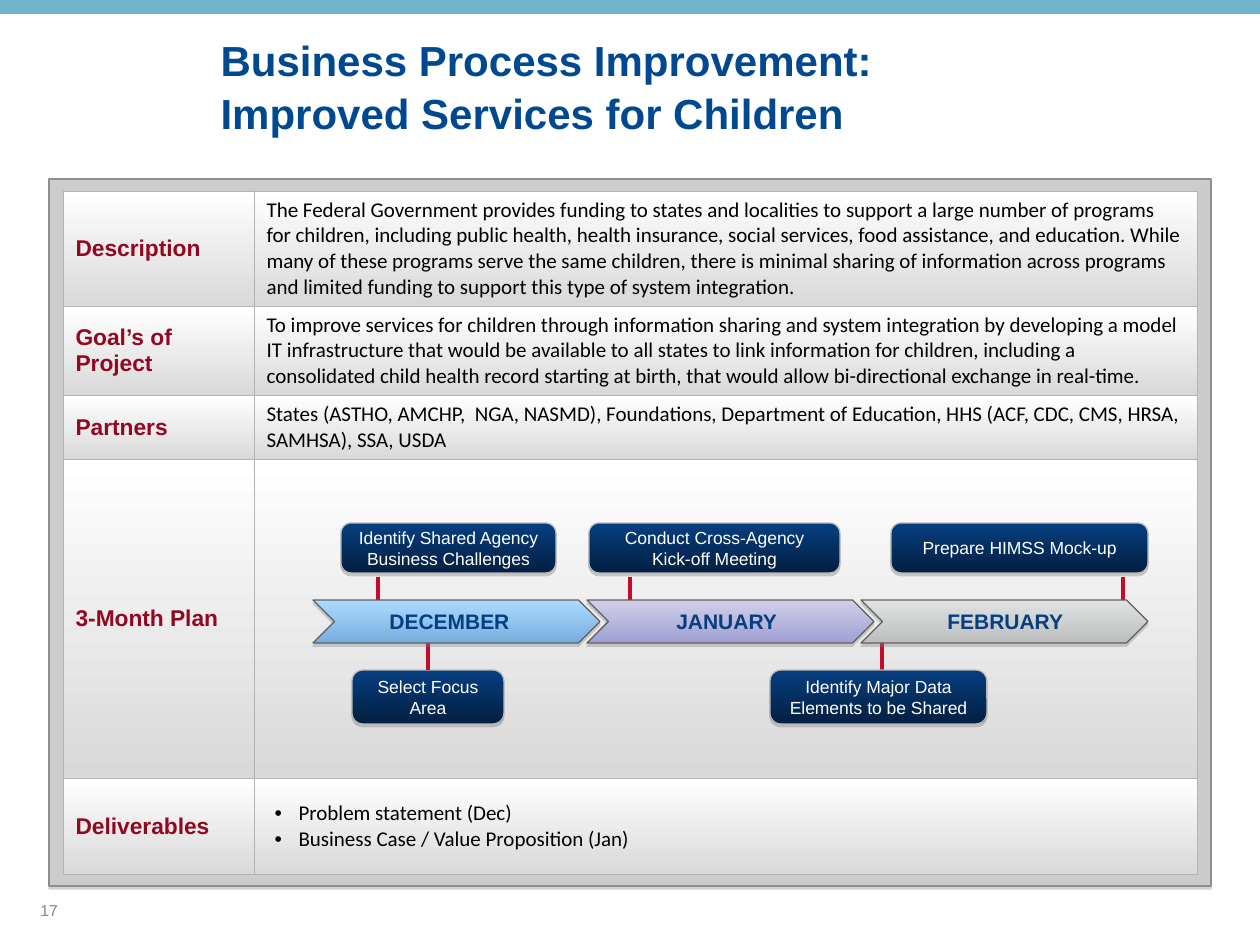
from lxml.etree import SubElement
from pptx import Presentation
from pptx.dml.color import RGBColor
from pptx.enum.shapes import MSO_CONNECTOR, MSO_SHAPE
from pptx.enum.text import MSO_ANCHOR, PP_ALIGN
from pptx.oxml.ns import qn
from pptx.util import Emu, Pt

COLORS = {
    "band": "6FB5CC", "panel": "CCCCCC", "panel_line": "8C8F8F",
    "title": "004990", "heading": "930821", "body": "000000",
    "cell_top": "FFFFFF", "cell_bottom": "D9D9D9", "border": "B3B3B3",
    "task_top": "063E80", "task_bottom": "031F40", "task_line": "B8BABA",
    "task_text": "FFFFFF", "link": "C40B2C", "month": "063E80",
    "arrow_line": "606060", "number": "898989", "shadow": "808080",
    "dec_top": "ABDAFF", "dec_bottom": "78AEDD",
    "jan_top": "D0CFE9", "jan_bottom": "A0A0D4",
    "feb_top": "E0E3E3", "feb_bottom": "BCBEBE",
}
ROWS = [
    ("Description", 114, [
        "The Federal Government provides funding to states and localities to support "
        "a large number of programs for children, including public health, health "
        "insurance, social services, food assistance, and education. While many of "
        "these programs serve the same children, there is minimal sharing of "
        "information across programs and limited funding to support this type of "
        "system integration."]),
    ("Goal’s of Project", 88, [
        "To improve services for children through information sharing and system "
        "integration by developing a model IT infrastructure that would be available "
        "to all states to link information for children, including a consolidated "
        "child health record starting at birth, that would allow bi-directional "
        "exchange in real-time."]),
    ("Partners", 64, [
        "States (ASTHO, AMCHP,  NGA, NASMD), Foundations, Department of Education, "
        "HHS (ACF, CDC, CMS, HRSA, SAMHSA), SSA, USDA"]),
    ("3-Month Plan", 319, []),
    ("Deliverables", 96, ["Problem statement (Dec)",
                          "Business Case / Value Proposition (Jan)"]),
]
UPPER_TASKS = [  # left, width, link x, lines
    (341, 215, 378, ["Identify Shared Agency Business Challenges"]),
    (589, 251, 630, ["Conduct Cross-Agency", "Kick-off Meeting"]),
    (891, 257, 1123, ["Prepare HIMSS Mock-up"]),
]
MONTHS = [("DECEMBER", "dec", 377), ("JANUARY", "jan", 664), ("FEBRUARY", "feb", 935)]
ARROW_TOP, ARROW_H, ARROW_W, ARROW_STEP = 600, 43, 287, 274
UPPER_TOP, UPPER_H, LOWER_TOP, LOWER_H = 523, 50, 670, 54


def px(n):
    return Emu(round(n * 914400 / 126))


def rgb(name):
    return RGBColor.from_string(COLORS[name])


def fill_gradient(fill, name):
    """Fill from the colour name_top down to name_bottom."""
    fill.gradient()
    fill.gradient_angle = 270
    for stop, end in zip(fill.gradient_stops, ("top", "bottom")):
        stop.color.rgb = rgb(f"{name}_{end}")


def add_text(p, lines, size, color, font="Arial", bold=False):
    for i, line in enumerate(lines):
        if i:
            p.add_line_break()
        r = p.add_run()
        r.text = line
        r.font.name, r.font.size, r.font.bold = font, Pt(size), bold
        r.font.color.rgb = rgb(color)


def add_shadow(sp, alpha, distance):
    effects = sp.element.spPr.find(qn("a:effectLst"))
    shadow = SubElement(effects, qn("a:outerShdw"), blurRad="0",
                        dist=str(Pt(distance)), dir="5400000", rotWithShape="0")
    color = SubElement(shadow, qn("a:srgbClr"), val=COLORS["shadow"])
    SubElement(color, qn("a:alpha"), val=str(alpha * 1000))


def add_box(s, kind, x, y, w, h, line=None):
    sp = s.shapes.add_shape(kind, px(x), px(y), px(w), px(h))
    sp.shadow.inherit = False
    if line:
        sp.line.color.rgb = rgb(line)
        sp.line.width = Pt(0.75)
    else:
        sp.line.fill.background()
    return sp


def add_rect(s, x, y, w, h, color, line=None):
    sp = add_box(s, MSO_SHAPE.RECTANGLE, x, y, w, h, line)
    sp.fill.solid()
    sp.fill.fore_color.rgb = rgb(color)
    return sp


def add_task(s, x, y, w, h, lines, inset):
    sp = add_box(s, MSO_SHAPE.ROUNDED_RECTANGLE, x, y, w, h, "task_line")
    sp.adjustments[0] = 0.205
    fill_gradient(sp.fill, "task")
    add_shadow(sp, 38, 1.6)
    tf = sp.text_frame
    tf.word_wrap, tf.vertical_anchor = True, MSO_ANCHOR.MIDDLE
    tf.margin_left = tf.margin_right = px(2 * inset)
    tf.margin_top = tf.margin_bottom = px(inset)
    p = tf.paragraphs[0]
    p.alignment = PP_ALIGN.CENTER
    add_text(p, lines, 10, "task_text")
    return sp


def add_link(s, x, top, bottom):
    link = s.shapes.add_connector(MSO_CONNECTOR.STRAIGHT,
                                  px(x), px(top), px(x), px(bottom))
    link.line.color.rgb = rgb("link")
    link.line.width = Pt(2)
    SubElement(link.element.spPr, qn("a:effectLst"))
    return link


def add_label(s, x, y, w, h, text, size, color, bold=False, wrap=False):
    tf = s.shapes.add_textbox(px(x), px(y), px(w), px(h)).text_frame
    tf.word_wrap, tf.vertical_anchor = wrap, MSO_ANCHOR.MIDDLE
    add_text(tf.paragraphs[0], [text], size, color, bold=bold)


def add_bullet(p):
    pPr = p._p.get_or_add_pPr()
    pPr.set("marL", str(px(32)))
    pPr.set("indent", str(-px(24)))
    SubElement(pPr, qn("a:buFont"), typeface="Arial")
    SubElement(pPr, qn("a:buChar"), char="•")


def style_cell(cell):
    cell.vertical_anchor = MSO_ANCHOR.MIDDLE
    fill_gradient(cell.fill, "cell")
    tcPr = cell._tc.get_or_add_tcPr()
    for i, side in enumerate("LRTB"):
        ln = SubElement(tcPr, qn(f"a:ln{side}"), w=str(Pt(0.45)))
        solid = SubElement(ln, qn("a:solidFill"))
        SubElement(solid, qn("a:srgbClr"), val=COLORS["border"])
        tcPr.insert(i, ln)


def add_project_table(s):
    height = sum(h for _, h, _ in ROWS)
    table = s.shapes.add_table(len(ROWS), 2, px(63), px(191), px(1134), px(height)).table
    table.first_row = table.horz_banding = False
    for column, w in zip(table.columns, (191, 943)):
        column.width = px(w)
    for row, (heading, h, items) in zip(table.rows, ROWS):
        row.height = px(h)
        head, body = row.cells
        style_cell(head)
        style_cell(body)
        add_text(head.text_frame.paragraphs[0], [heading], 13, "heading", bold=True)
        tf = body.text_frame
        for i, item in enumerate(items):
            p = tf.add_paragraph() if i else tf.paragraphs[0]
            if len(items) > 1:
                add_bullet(p)
            add_text(p, [item], 12, "body", "Calibri")


def set_title(s, lines):
    title = s.shapes.title
    title.left, title.top, title.width, title.height = px(208), px(25), px(1018), px(155)
    title.text_frame.vertical_anchor = MSO_ANCHOR.TOP
    p = title.text_frame.paragraphs[0]
    p.alignment, p.line_spacing = PP_ALIGN.LEFT, 1.06
    add_text(p, lines, 24, "title", bold=True)


def add_timeline(s):
    for x, w, link_x, lines in UPPER_TASKS:
        add_task(s, x, UPPER_TOP, w, UPPER_H, lines, 0)
        add_link(s, link_x, UPPER_TOP + UPPER_H + 4, ARROW_TOP + 4)
    focus = add_task(s, 352, LOWER_TOP, 152, LOWER_H, ["Select Focus Area"], 6)
    add_link(s, 428, ARROW_TOP + 35, LOWER_TOP).end_connect(focus, 0)
    add_link(s, 882, ARROW_TOP + 35, LOWER_TOP)
    add_task(s, 770, LOWER_TOP, 217, LOWER_H,
             ["Identify Major Data Elements to be Shared"], 6)
    for i, (month, color, label_x) in enumerate(MONTHS):
        arrow = add_box(s, MSO_SHAPE.CHEVRON, 313 + i * ARROW_STEP, ARROW_TOP,
                        ARROW_W, ARROW_H, "arrow_line")
        fill_gradient(arrow.fill, color)
        add_shadow(arrow, 35, 1.8)
        add_label(s, label_x, 602, 145 if i != 1 else 126, 38, month, 12, "month", bold=True)


def main():
    prs = Presentation()
    prs.slide_width, prs.slide_height = px(1260), px(945)
    s = prs.slides.add_slide(prs.slide_layouts[5])
    add_rect(s, 0, 0, 1260, 14, "band")
    add_shadow(add_rect(s, 49, 179, 1162, 707, "panel", "panel_line"), 35, 1.8)
    add_project_table(s)
    set_title(s, ["Business Process Improvement:", "Improved Services for Children"])
    add_label(s, 28, 885, 294, 50, "17", 9, "number", wrap=True)
    add_timeline(s)
    prs.save("out.pptx")


if __name__ == "__main__":
    main()
